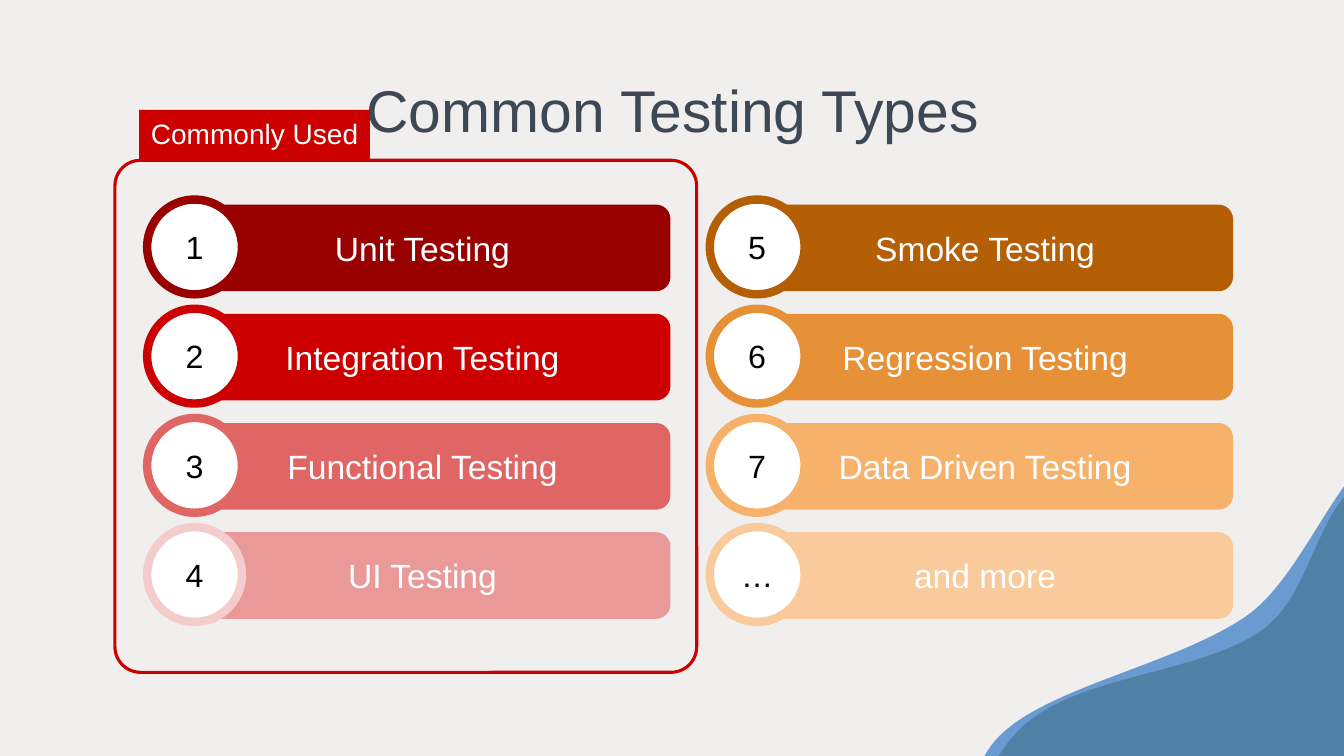
import lxml.etree
import pptx
import pptx.util
import pptx.dml.color
import pptx.enum.shapes
import pptx.enum.text
import pptx.oxml.ns

IN = pptx.util.Inches
RGB = pptx.dml.color.RGBColor.from_string
SHAPE = pptx.enum.shapes.MSO_SHAPE
ANCHOR = pptx.enum.text.MSO_ANCHOR
ALIGN = pptx.enum.text.PP_ALIGN
QN = pptx.oxml.ns.qn

THEME = {
    "font": "Arial",
    "background": "F0EFEE",
    "title": "3E4754",
    "accent": "CC0000",
    "white": "FFFFFF",
    "black": "000000",
    "title_size": 42,
    "bar_size": 24,
    "number_size": 23,
    "tag_size": 20,
    "ring_width": 6,
    "frame_width": 2.25,
}
WAVES = [
    ("699BD0", (9.67, 4.38, 14.59, 8.92), [
        ("moveTo", [(13.9, 8.73)]),
        ("cubicBezTo", [(14.58, 7.87), (14.91, 4.89), (14.17, 4.45)]),
        ("cubicBezTo", [(13.43, 4.02), (13.06, 5.64), (12.35, 6.12)]),
        ("cubicBezTo", [(11.63, 6.61), (10.3, 6.83), (9.86, 7.36)]),
        ("cubicBezTo", [(9.42, 7.89), (9.79, 8.62), (10.46, 8.85)]),
        ("cubicBezTo", [(11.13, 9.08), (13.14, 8.71), (13.9, 8.73)]),
        ("close", []),
    ]),
    ("5080A6", (9.79, 4.63, 14.63, 8.74), [
        ("moveTo", [(13.99, 8.6)]),
        ("cubicBezTo", [(14.61, 7.89), (15.04, 4.66), (14.02, 4.63)]),
        ("cubicBezTo", [(13, 4.61), (13.15, 5.83), (12.49, 6.27)]),
        ("cubicBezTo", [(11.83, 6.71), (10.62, 6.69), (10.08, 7.27)]),
        ("cubicBezTo", [(9.54, 7.85), (9.81, 8.44), (10.46, 8.67)]),
        ("cubicBezTo", [(11.11, 8.89), (13.29, 8.59), (13.99, 8.6)]),
        ("close", []),
    ]),
]
COLUMNS = [
    [
        ("1", "Unit Testing", "990000", "990000"),
        ("2", "Integration Testing", "CC0000", "CC0000"),
        ("3", "Functional Testing", "E06666", "E06666"),
        ("4", "UI Testing", "EA9999", "F4CCCC"),
    ],
    [
        ("5", "Smoke Testing", "B45F06", "B45F06"),
        ("6", "Regression Testing", "E69138", "E69138"),
        ("7", "Data Driven Testing", "F6B26B", "F6B26B"),
        ("…", "and more", "F9CB9C", "F9CB9C"),
    ],
]
GRID_LEFT, GRID_TOP = 1.46, 1.98
COLUMN_STEP, ROW_STEP = 5.58, 3.25 / 3
BAR_DX, BAR_DY = 0.27, 0.05
BAR_W, BAR_H, CIRCLE = 4.92, 0.86, 0.94
UNITS = 100


def paint(sp, fill=None, line=None, width=0):
    sp.shadow.inherit = False
    if fill:
        sp.fill.solid()
        sp.fill.fore_color.rgb = RGB(fill)
    else:
        sp.fill.background()
    if line:
        sp.line.color.rgb = RGB(line)
        sp.line.width = pptx.util.Pt(width)
    else:
        sp.line.fill.background()


def write(sp, text, size, color, anchor=ANCHOR.MIDDLE, spacing=None, inset_y=0.1):
    tf = sp.text_frame
    frame = {
        "word_wrap": True,
        "auto_size": pptx.enum.text.MSO_AUTO_SIZE.NONE,
        "vertical_anchor": anchor,
        "margin_left": IN(0.1),
        "margin_right": IN(0.1),
        "margin_top": IN(inset_y),
        "margin_bottom": IN(inset_y),
    }
    for name, value in frame.items():
        setattr(tf, name, value)
    p = tf.paragraphs[0]
    p.alignment = ALIGN.CENTER
    if spacing:
        p.line_spacing = spacing
    r = p.add_run()
    r.text = text
    for name, value in {"name": THEME["font"], "size": pptx.util.Pt(size)}.items():
        setattr(r.font, name, value)
    r.font.color.rgb = RGB(color)


prs = pptx.Presentation()
prs.slide_width, prs.slide_height = IN(13.33), IN(7.5)
s = prs.slides.add_slide(prs.slide_layouts[5])
s.background.fill.solid()
s.background.fill.fore_color.rgb = RGB(THEME["background"])

for color, box, segments in WAVES:
    left, top, right, bottom = [round(edge * UNITS) for edge in box]
    outline = s.shapes.build_freeform(left, top, scale=IN(1 / UNITS))
    outline.add_line_segments([(right, top), (right, bottom), (left, bottom)])
    wave = outline.convert_to_shape()
    paint(wave, color)
    geometry = wave.element.find(".//" + QN("a:path"))
    del geometry[:]
    for kind, points in segments:
        segment = lxml.etree.SubElement(geometry, QN("a:" + kind))
        for x, y in points:
            pt = lxml.etree.SubElement(segment, QN("a:pt"))
            pt.set("x", str(round(x * UNITS) - left))
            pt.set("y", str(round(y * UNITS) - top))

title = s.shapes.title
title.element.getparent().append(title.element)
title_box = {"left": 0.92, "top": 0.4, "width": 11.5, "height": 1.45}
for name, value in title_box.items():
    setattr(title, name, IN(value))
write(title, "Common Testing Types", THEME["title_size"], THEME["title"],
      spacing=0.9, inset_y=0.05)

for column, items in enumerate(COLUMNS):
    for row, (number, label, bar_color, ring_color) in enumerate(items):
        x = GRID_LEFT + column * COLUMN_STEP
        y = GRID_TOP + row * ROW_STEP
        bar = s.shapes.add_shape(SHAPE.ROUNDED_RECTANGLE, IN(x + BAR_DX),
                                 IN(y + BAR_DY), IN(BAR_W), IN(BAR_H))
        paint(bar, bar_color)
        write(bar, label, THEME["bar_size"], THEME["white"])
        circle = s.shapes.add_shape(SHAPE.OVAL, IN(x), IN(y), IN(CIRCLE), IN(CIRCLE))
        paint(circle, THEME["white"], ring_color, THEME["ring_width"])
        write(circle, number, THEME["number_size"], THEME["black"])

frame = s.shapes.add_shape(SHAPE.ROUNDED_RECTANGLE, IN(1.14), IN(1.59), IN(5.77), IN(5.08))
frame.adjustments[0] = 0.05
paint(frame, line=THEME["accent"], width=THEME["frame_width"])

tag = s.shapes.add_shape(SHAPE.RECTANGLE, IN(1.38), IN(1.09), IN(2.29), IN(0.5))
paint(tag, THEME["accent"])
write(tag, "Commonly Used", THEME["tag_size"], THEME["white"],
      anchor=ANCHOR.TOP, spacing=0.9)

prs.save("out.pptx")
